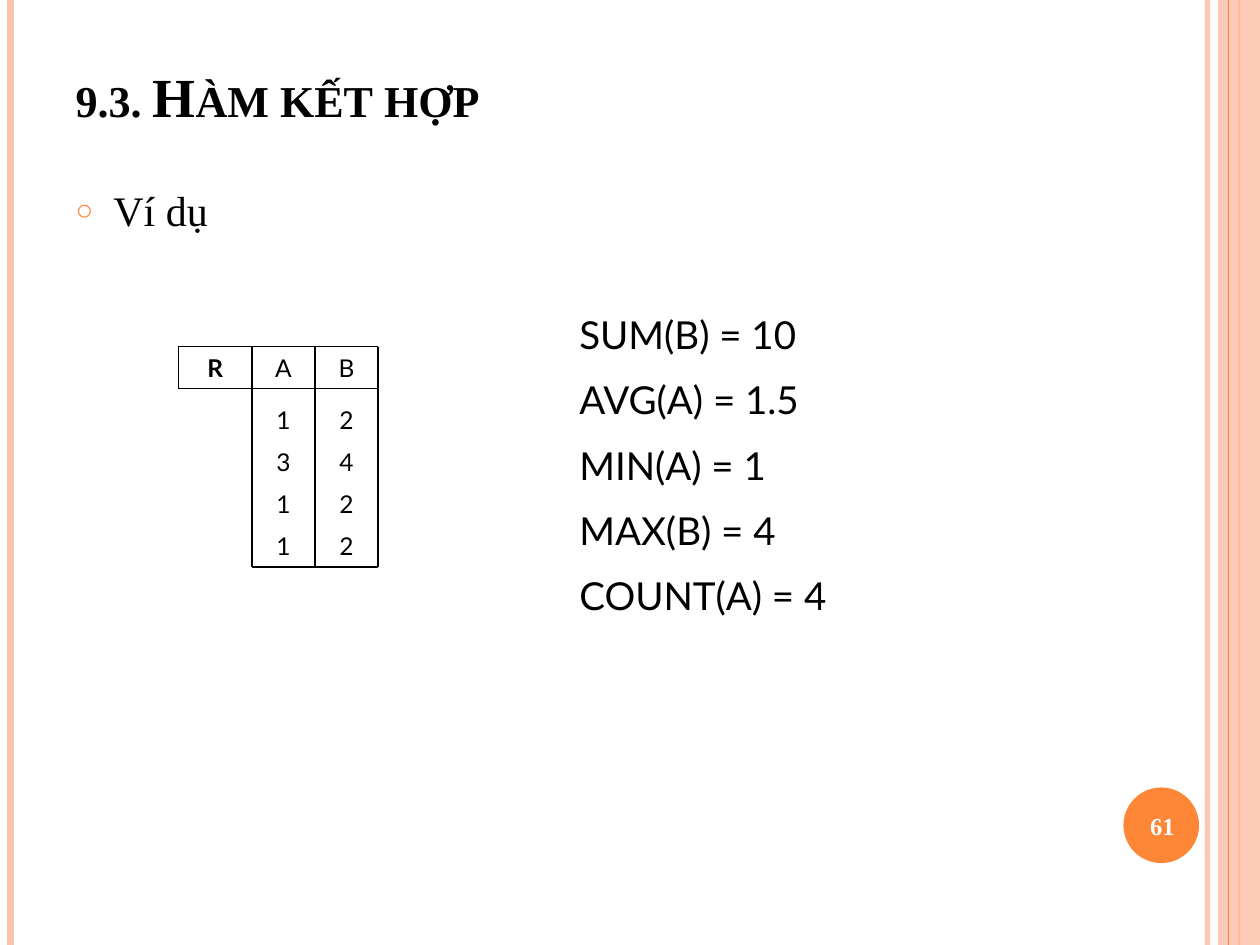
"""Build the slide on SQL aggregate functions, laid out on a grid of twelve units to the inch."""
from dataclasses import dataclass
from typing import Optional

from lxml import etree
from pptx import Presentation
from pptx import util as u
from pptx.dml.color import RGBColor
from pptx.enum import shapes, text
from pptx.oxml.ns import qn

COLORS = {"ink": "000000", "paper": "FFFFFF", "orange": "FE8637", "peach": "FEC3AE"}
SERIF, SANS = "Times New Roman", "Lato"
COLUMNS, ROWS = 120, 90
ROW = 4
EDGES = (17, 24, 30, 36)
TOP, BODY_TOP, BOTTOM = 33, 38, 54
HEADINGS = ("R", "A", "B")
RECORDS = (("1", "2"), ("3", "4"), ("1", "2"), ("1", "2"))
RESULTS = ("SUM(B) = 10", "AVG(A) = 1.5", "MIN(A) = 1", "MAX(B) = 4", "COUNT(A) = 4")


@dataclass(frozen=True)
class Box:
    """A rectangle in grid units."""
    left: float
    top: float
    width: float
    height: float

    def lengths(self) -> list:
        """Return the four lengths in slide units."""
        return [grid(n) for n in (self.left, self.top, self.width, self.height)]


@dataclass(frozen=True)
class Style:
    """The look of a run of text."""
    size: float
    name: str
    color: str = "ink"
    bold: bool = False


@dataclass(frozen=True)
class Rule:
    """A straight line in grid units."""
    x1: float
    y1: float
    x2: float
    y2: float
    color: str = "ink"
    width: float = 1
    alpha: Optional[int] = None


def grid(units: float) -> u.Emu:
    """Convert grid units to a length."""
    return u.Inches(units / 12)


def rgb(name: str) -> RGBColor:
    """Look up a colour."""
    return RGBColor.from_string(COLORS[name])


def set_alpha(fill_parent, percent: int) -> None:
    """Make a solid fill partly transparent."""
    color = fill_parent.find(qn("a:solidFill"))[0]
    etree.SubElement(color, qn("a:alpha"), val=str(percent * 1000))


def draw_rule(container, rule: Rule) -> None:
    """Draw one straight line."""
    ends = [grid(n) for n in (rule.x1, rule.y1, rule.x2, rule.y2)]
    connector = container.add_connector(shapes.MSO_CONNECTOR.STRAIGHT, *ends)
    connector.line.color.rgb = rgb(rule.color)
    connector.line.width = u.Pt(rule.width)
    properties = connector._element.spPr
    if rule.alpha:
        set_alpha(properties.find(qn("a:ln")), rule.alpha)
    etree.SubElement(properties, qn("a:effectLst"))


def draw_shape(container, kind, box: Box, color: str, alpha: Optional[int] = None) -> None:
    """Draw a filled preset shape without outline."""
    shape = container.add_shape(kind, *box.lengths())
    shape.shadow.inherit = False
    shape.fill.solid()
    shape.fill.fore_color.rgb = rgb(color)
    shape.line.fill.background()
    if alpha:
        set_alpha(shape._element.spPr, alpha)


def add_run(paragraph, words: str, style: Style):
    """Add one formatted run."""
    run = paragraph.add_run()
    run.text = words
    run.font.size, run.font.name, run.font.bold = u.Pt(style.size), style.name, style.bold
    run.font.color.rgb = rgb(style.color)
    return run


def draw_text(container, box: Box, lines, style: Style, align=text.PP_ALIGN.LEFT):
    """Draw a text box with one paragraph a line, spaced by half the text size."""
    frame = container.add_textbox(*box.lengths()).text_frame
    frame.word_wrap = True
    frame.auto_size = text.MSO_AUTO_SIZE.SHAPE_TO_FIT_TEXT
    for index, words in enumerate(lines):
        paragraph = frame.add_paragraph() if index else frame.paragraphs[0]
        paragraph.alignment = align
        paragraph.space_before = u.Pt(style.size / 2 if index else 0)
        add_run(paragraph, words, style)
    return frame


def place(placeholder, box: Box):
    """Move a placeholder and return its first paragraph."""
    placeholder.left, placeholder.top, placeholder.width, placeholder.height = box.lengths()
    placeholder.text_frame.auto_size = text.MSO_AUTO_SIZE.NONE
    paragraph = placeholder.text_frame.paragraphs[0]
    paragraph.alignment = text.PP_ALIGN.LEFT
    paragraph.space_before = u.Pt(0)
    return paragraph


def draw_frame(slide) -> None:
    """Draw the side stripes and the page number disc."""
    for x, color, width, alpha in ((115, "peach", 3, 93), (1, "peach", 4.5, None), (118, "orange", 1.5, None)):
        draw_rule(slide.shapes, Rule(x, 0, x, ROWS, color, width, alpha))
    draw_shape(slide.shapes, shapes.MSO_SHAPE.RECTANGLE, Box(116, 0, 4, ROWS), "peach", 87)
    draw_rule(slide.shapes, Rule(117, 0, 117, ROWS, "orange", 0.75))
    draw_shape(slide.shapes, shapes.MSO_SHAPE.OVAL, Box(107, 75, 7.2, 7.2), "orange")


def fill_placeholders(slide) -> None:
    """Write the title and the bulleted list."""
    title, body = slide.shapes.title, slide.placeholders[1]
    paragraph = place(title, Box(6, 4.7, 112, 8.1))
    title.text_frame.vertical_anchor = text.MSO_ANCHOR.BOTTOM
    run = add_run(paragraph, "9.3. Hàm kết hợp", Style(31.5, SERIF, bold=True))
    run.font._element.set("cap", "small")
    paragraph = place(body, Box(6, 17, 108, 63.5))
    properties = paragraph._p.get_or_add_pPr()
    properties.set("marL", str(u.Inches(0.3)))
    properties.set("indent", str(u.Inches(-0.3)))
    color = etree.SubElement(properties, qn("a:buClr"))
    etree.SubElement(color, qn("a:srgbClr"), val=COLORS["orange"])
    etree.SubElement(properties, qn("a:buSzPct"), val="70000")
    etree.SubElement(properties, qn("a:buChar"), char="○")
    add_run(paragraph, "Ví dụ", Style(24, SERIF))


def draw_relation(slide) -> None:
    """Draw relation R as a grouped grid of cells and rules."""
    group = slide.shapes.add_group_shape().shapes
    left, first, middle, right = EDGES
    header_end = TOP + ROW
    for y, start in ((TOP, left), (header_end, left), (BOTTOM, first)):
        draw_rule(group, Rule(start, y, right, y))
    for x, end in ((left, header_end), (first, BOTTOM), (middle, BOTTOM), (right, BOTTOM)):
        draw_rule(group, Rule(x, TOP, x, end))
    tops = [TOP] + [BODY_TOP + ROW * index for index in range(len(RECORDS))]
    for top, values in zip(tops, (HEADINGS, *RECORDS)):
        offset = len(HEADINGS) - len(values)
        for column, value in enumerate(values, offset):
            box = Box(EDGES[column], top, EDGES[column + 1] - EDGES[column], ROW)
            draw_text(group, box, [value], Style(14, SANS, bold=value == "R"), text.PP_ALIGN.CENTER)


def main() -> None:
    """Build and save the presentation."""
    presentation = Presentation()
    presentation.slide_width, presentation.slide_height = grid(COLUMNS), grid(ROWS)
    slide = presentation.slides.add_slide(presentation.slide_layouts[1])
    slide.background.fill.solid()
    slide.background.fill.fore_color.rgb = rgb("paper")
    draw_frame(slide)
    fill_placeholders(slide)
    draw_relation(slide)
    draw_text(slide.shapes, Box(54, 29, 28, 32), RESULTS, Style(22, SANS))
    number = draw_text(slide.shapes, Box(106.7, 75.2, 8, 6.8), ["61"],
                       Style(14, SERIF, "paper", True), text.PP_ALIGN.CENTER)
    number.auto_size = text.MSO_AUTO_SIZE.NONE
    number.vertical_anchor = text.MSO_ANCHOR.MIDDLE
    presentation.save("out.pptx")


if __name__ == "__main__":
    main()
